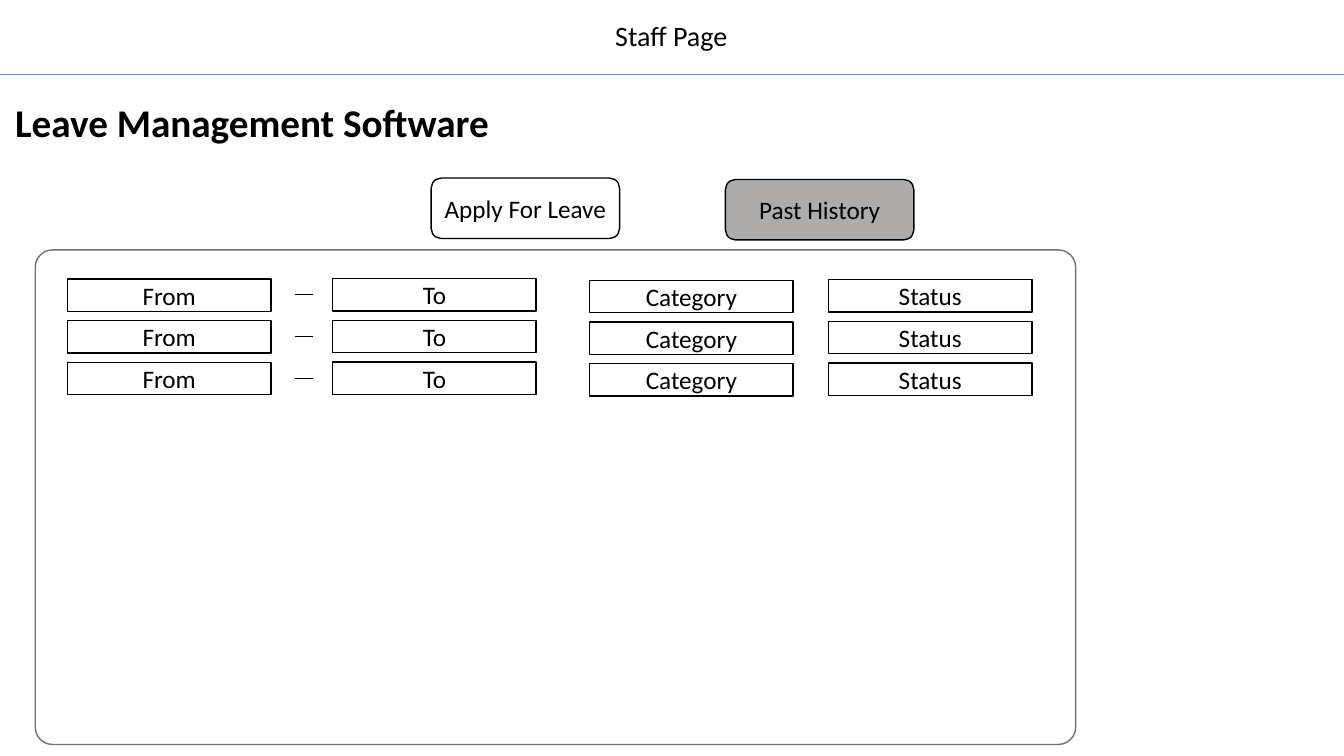
import pptx
import pptx.util
import pptx.dml.color
import pptx.enum.shapes
import pptx.enum.text
import pptx.oxml

Pt = pptx.util.Pt
RGB = pptx.dml.color.RGBColor.from_string
Kind = pptx.enum.shapes.MSO_SHAPE
Link = pptx.enum.shapes.MSO_CONNECTOR
Align = pptx.enum.text.PP_ALIGN
Fit = pptx.enum.text.MSO_AUTO_SIZE

hues = {"ink": "000000", "paper": "FFFFFF", "blue": "5B9BD5",
        "grey": "AEABAB", "edge": "757070"}

deck = pptx.Presentation()
deck.slide_width, deck.slide_height = Pt(960), Pt(540)
slide = deck.slides.add_slide(deck.slide_layouts[6])
shapes = slide.shapes


def write(shape, text, size, bold=False):
    para = shape.text_frame.paragraphs[0]
    para.text = text
    para.alignment = Align.CENTER
    para.font.name = "Calibri"
    para.font.size = Pt(size)
    para.font.bold = bold
    para.font.color.rgb = RGB(hues["ink"])


def box(kind, left, top, width, height, fill="paper", edge="ink"):
    shape = shapes.add_shape(kind, Pt(left), Pt(top), Pt(width), Pt(height))
    shape.shadow.inherit = False
    shape.fill.solid()
    shape.fill.fore_color.rgb = RGB(hues[fill])
    shape.line.color.rgb = RGB(hues[edge])
    shape.line.width = Pt(1)
    return shape


heads = [("Staff Page", 427, 10, 105, 31.5, 20, False),
         ("Leave Management Software", 0, 67, 360, 41, 28, True)]
for text, left, top, width, height, size, bold in heads:
    head = shapes.add_textbox(Pt(left), Pt(top), Pt(width), Pt(height))
    head.text_frame.word_wrap = False
    head.text_frame.auto_size = Fit.SHAPE_TO_FIT_TEXT
    write(head, text, size, bold)

panel = box(Kind.ROUNDED_RECTANGLE, 25.2, 178.5, 743.2, 353.3, edge="edge")
panel.adjustments[0] = 0.035

tabs = [("Apply For Leave", 308, 127.2, "paper"),
        ("Past History", 518.2, 128.2, "grey")]
for text, left, top, fill in tabs:
    tab = box(Kind.ROUNDED_RECTANGLE, left, top, 134.6, 43.2, fill)
    write(tab, text, 18)

cols = [("From", 48.2, 199.2), ("To", 237.6, 199),
        ("Category", 421.2, 200.2), ("Status", 591.8, 199.7)]
rules = [(0, 960, 53.2, "blue")]
for row in range(3):
    drop = row * 29.8
    for text, left, top in cols:
        cell = box(Kind.RECTANGLE, left, top + drop, 145.4, 23.2)
        write(cell, text, 18)
    rules.append((210.4, 223.8, 210.6 + drop, "ink"))

for start, end, top, hue in rules:
    rule = shapes.add_connector(Link.STRAIGHT, Pt(start), Pt(top), Pt(end), Pt(top))
    rule.line.color.rgb = RGB(hues[hue])
    rule.line.width = Pt(0.75)
    rule._element.spPr.append(pptx.oxml.parse_xml(
        '<a:effectLst xmlns:a="http://schemas.openxmlformats.org/drawingml/2006/main"/>'))

deck.save("out.pptx")
